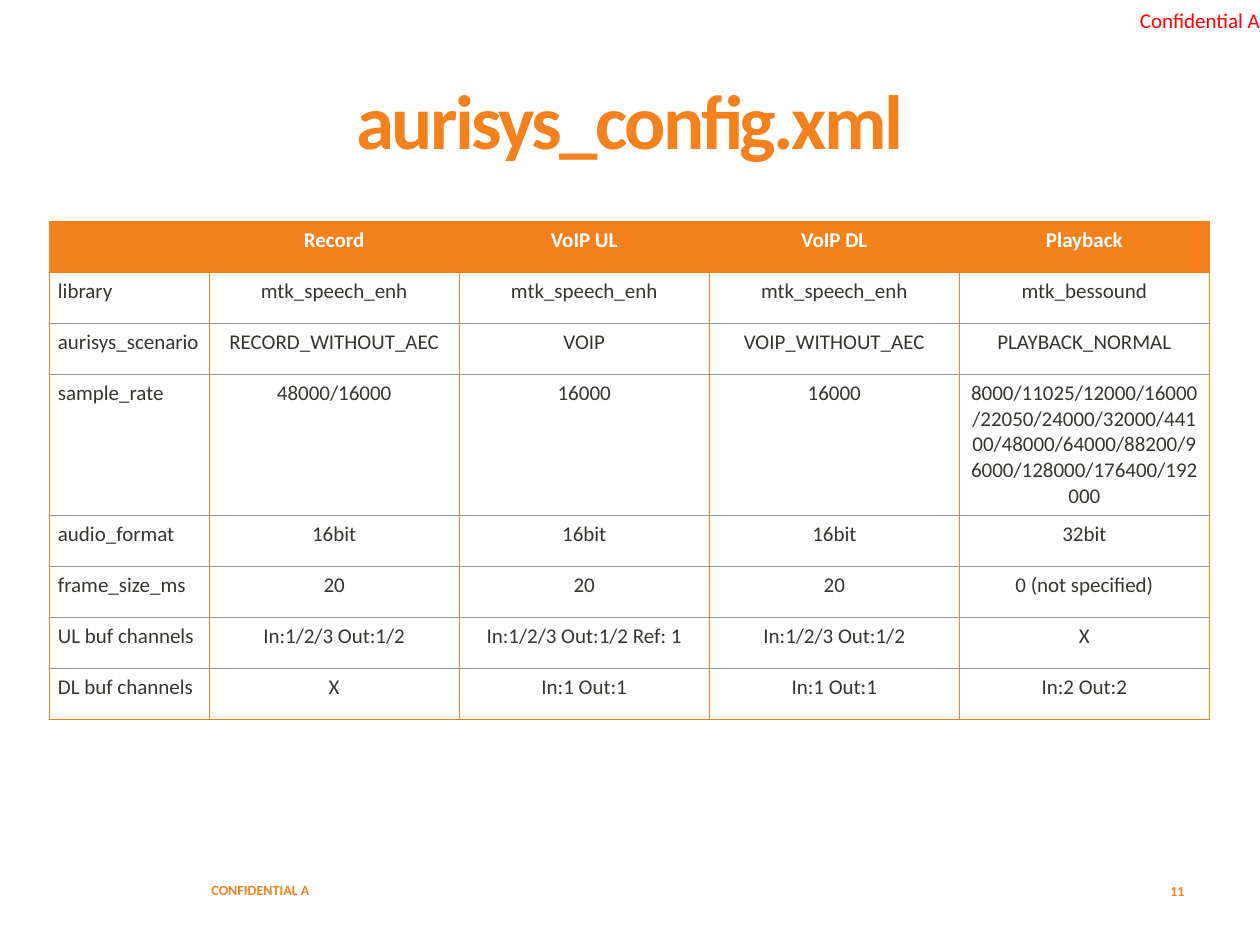
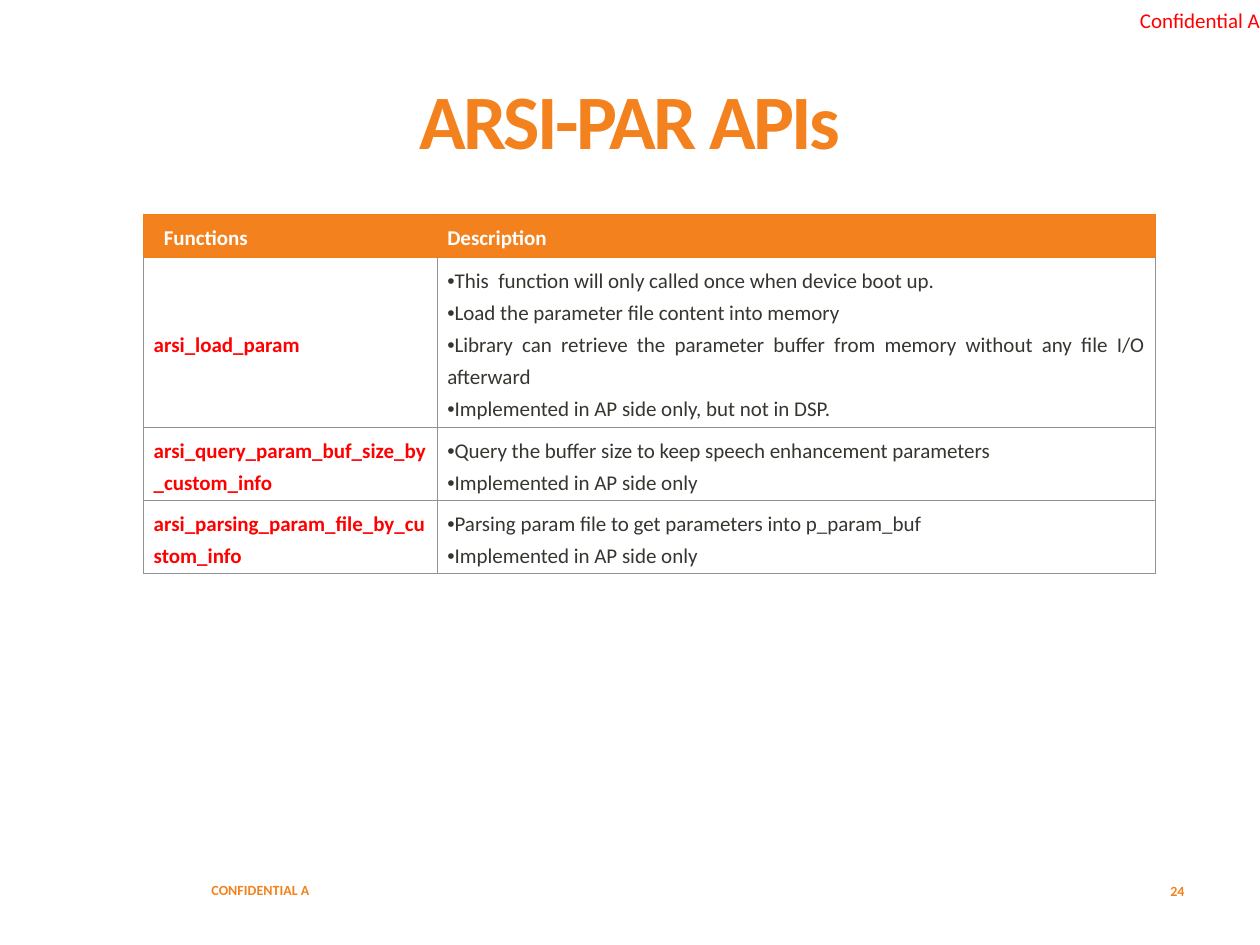
from lxml import etree
from pptx import Presentation
from pptx.dml.color import RGBColor
from pptx.enum.text import MSO_ANCHOR, MSO_AUTO_SIZE, PP_ALIGN
from pptx.oxml.ns import qn
from pptx.util import Inches, Pt

LEFT, CENTER, RIGHT, JUSTIFY = PP_ALIGN.LEFT, PP_ALIGN.CENTER, PP_ALIGN.RIGHT, PP_ALIGN.JUSTIFY
TOP, MIDDLE = MSO_ANCHOR.TOP, MSO_ANCHOR.MIDDLE
NO_AUTOFIT = MSO_AUTO_SIZE.NONE

# Shared look
FONT = "Calibri"
ORANGE, RULE_ORANGE, RULE_GREY = "F3821E", "F37F18", "939393"
RED, INK, WHITE = "FF0000", "353630", "FFFFFF"
TITLE_ONLY = 5

# Content of the configuration table
SCENARIOS = ["", "Record", "VoIP UL", "VoIP DL", "Playback"]
RATES = ("8000/11025/12000/16000/22050/24000/32000/44100/48000/64000/"
         "88200/96000/128000/176400/192000")
SETTINGS = [
    ["library"] + ["mtk_speech_enh"] * 3 + ["mtk_bessound"],
    ["aurisys_scenario", "RECORD_WITHOUT_AEC", "VOIP", "VOIP_WITHOUT_AEC", "PLAYBACK_NORMAL"],
    ["sample_rate", "48000/16000", "16000", "16000", RATES],
    ["audio_format", "16bit", "16bit", "16bit", "32bit"],
    ["frame_size_ms", "20", "20", "20", "0 (not specified)"],
    ["UL buf channels", "In:1/2/3 Out:1/2", "In:1/2/3 Out:1/2 Ref: 1", "In:1/2/3 Out:1/2", "X"],
    ["DL buf channels", "X", "In:1 Out:1", "In:1 Out:1", "In:2 Out:2"],
]
RATES_ROW = 3

# Content of the function table: name, name alignment, description points
FUNCTIONS = [
    ("arsi_load_param", LEFT, [
        "This  function will only called once when device boot up.",
        "Load the parameter file content into memory",
        "Library can retrieve the parameter buffer from memory without any file I/O afterward",
        "Implemented in AP side only, but not in DSP."]),
    ("arsi_query_param_buf_size_by_custom_info", JUSTIFY, [
        "Query the buffer size to keep speech enhancement parameters",
        "Implemented in AP side only"]),
    ("arsi_parsing_param_file_by_custom_info", LEFT, [
        "Parsing param file to get parameters into p_param_buf",
        "Implemented in AP side only"]),
]


def color(hex_string):
    return RGBColor.from_string(hex_string)


def style_paragraph(para, size, hex_color, bold=False, align=LEFT, spacing=None):
    para.alignment = align
    if spacing:
        para.line_spacing = spacing
    for span in para.runs:
        span.font.name = FONT
        span.font.size = Pt(size)
        span.font.bold = bold
        span.font.color.rgb = color(hex_color)


def set_indent(para, margin, bullet=None):
    properties = para._p.get_or_add_pPr()
    properties.set("marL", str(Inches(margin)))
    properties.set("indent", "0")
    if bullet:
        etree.SubElement(properties, qn("a:buFont")).set("typeface", "Arial")
        etree.SubElement(properties, qn("a:buChar")).set("char", bullet)


def add_label(page, text, left, top, width, height, size, hex_color,
              bold=False, align=LEFT, padded=True):
    box = page.shapes.add_textbox(Inches(left), Inches(top), Inches(width), Inches(height))
    frame = box.text_frame
    frame.word_wrap = True
    frame.vertical_anchor = MIDDLE
    if not padded:
        frame.margin_left = frame.margin_right = frame.margin_top = frame.margin_bottom = 0
    frame.text = text
    style_paragraph(frame.paragraphs[0], size, hex_color, bold, align)


def add_page(deck, title, number):
    """Add a page with its title, confidentiality marks and page number."""
    page = deck.slides.add_slide(deck.slide_layouts[TITLE_ONLY])
    heading = page.shapes.title
    heading.left, heading.top = Inches(0.5), Inches(0.67)
    heading.width, heading.height = Inches(9), Inches(1.24)
    frame = heading.text_frame
    frame.text = title
    frame.auto_size = NO_AUTOFIT
    frame.vertical_anchor = TOP
    para = frame.paragraphs[0]
    style_paragraph(para, 44, ORANGE, True, CENTER, 0.8)
    para.runs[0]._r.get_or_add_rPr().set("spc", "-150")

    add_label(page, "CONFIDENTIAL A", 1.58, 6.86, 1.76, 0.4, 8, ORANGE, bold=True)
    add_label(page, "Confidential A", 8.69, 0, 1.31, 0.32, 12, RED, align=RIGHT, padded=False)
    add_label(page, str(number), 8.34, 6.87, 1.16, 0.4, 8, ORANGE, bold=True, align=RIGHT)
    return page


def add_grid(page, left, top, widths, heights):
    frame = page.shapes.add_table(len(heights), len(widths), Inches(left), Inches(top),
                                  Inches(sum(widths)), Inches(sum(heights)))
    table = frame.table
    table.horz_banding = False
    for column, width in zip(table.columns, widths):
        column.width = Inches(width)
    for row, height in zip(table.rows, heights):
        row.height = Inches(height)
    return table


def set_borders(cell, left, right, top, bottom):
    properties = cell._tc.get_or_add_tcPr()
    for side, hex_color in zip("LRTB", (left, right, top, bottom)):
        line = etree.SubElement(properties, qn(f"a:ln{side}"), w=str(Pt(0.75)))
        fill = etree.SubElement(line, qn("a:solidFill"))
        etree.SubElement(fill, qn("a:srgbClr")).set("val", hex_color)


def finish_table(table, padding, side_rule, bottom_rule):
    """Set rules, fills and margins: orange header, grey lines between body rows."""
    last = len(table.rows) - 1
    for index, row in enumerate(table.rows):
        for cell in row.cells:
            if index == 0:
                set_borders(cell, *[RULE_ORANGE] * 4)
            else:
                set_borders(cell, side_rule, side_rule,
                            RULE_ORANGE if index == 1 else RULE_GREY,
                            bottom_rule if index == last else RULE_GREY)
            cell.fill.solid()
            cell.fill.fore_color.rgb = color(WHITE if index else ORANGE)
            cell.margin_left = cell.margin_right = Inches(padding[0])
            cell.margin_top = cell.margin_bottom = Inches(padding[1])


def fill_cell(cell, lines, hex_color, bold=False, align=LEFT, spacing=None,
              anchor=TOP, margin=0, bullet=None):
    cell.text_frame.text = "\n".join(lines)
    cell.vertical_anchor = anchor
    for para in cell.text_frame.paragraphs:
        set_indent(para, margin, bullet)
        style_paragraph(para, 12, hex_color, bold, align, spacing)


def add_settings_table(page):
    name_width, table_width = 1.27, 9.21
    tall, table_height = 1.12, 3.95
    value_width = (table_width - name_width) / (len(SCENARIOS) - 1)
    widths = [name_width] + [value_width] * (len(SCENARIOS) - 1)
    heights = [(table_height - tall) / len(SETTINGS)] * (len(SETTINGS) + 1)
    heights[RATES_ROW] = tall
    table = add_grid(page, 0.39, 1.76, widths, heights)
    for r, values in enumerate([SCENARIOS] + SETTINGS):
        for c, value in enumerate(values):
            fill_cell(table.cell(r, c), [value], INK if r else WHITE, bold=r == 0,
                      align=CENTER if c or r == 0 else LEFT)
    finish_table(table, (0.07, 0.05), RULE_ORANGE, RULE_ORANGE)


def add_function_table(page):
    table = add_grid(page, 1.14, 1.7, [2.33, 5.7], [0.34, 1.35, 0.58, 0.58])
    for c, (heading, margin) in enumerate([("Functions", 0.08), ("Description", 0)]):
        fill_cell(table.cell(0, c), [heading], WHITE, True, JUSTIFY, 1.25, margin=margin)
    for r, (name, align, points) in enumerate(FUNCTIONS, start=1):
        fill_cell(table.cell(r, 0), [name], RED, True, align, 1.25, MIDDLE)
        fill_cell(table.cell(r, 1), points, INK, False, JUSTIFY, 1.25, MIDDLE, bullet="•")
    finish_table(table, (0.08, 0.04), RULE_GREY, RULE_GREY)


def main():
    deck = Presentation()
    deck.slide_width, deck.slide_height = Inches(10), Inches(7.5)
    add_settings_table(add_page(deck, "aurisys_config.xml", 11))
    add_function_table(add_page(deck, "ARSI-PAR APIs", 24))
    deck.save("out.pptx")


if __name__ == "__main__":
    main()
